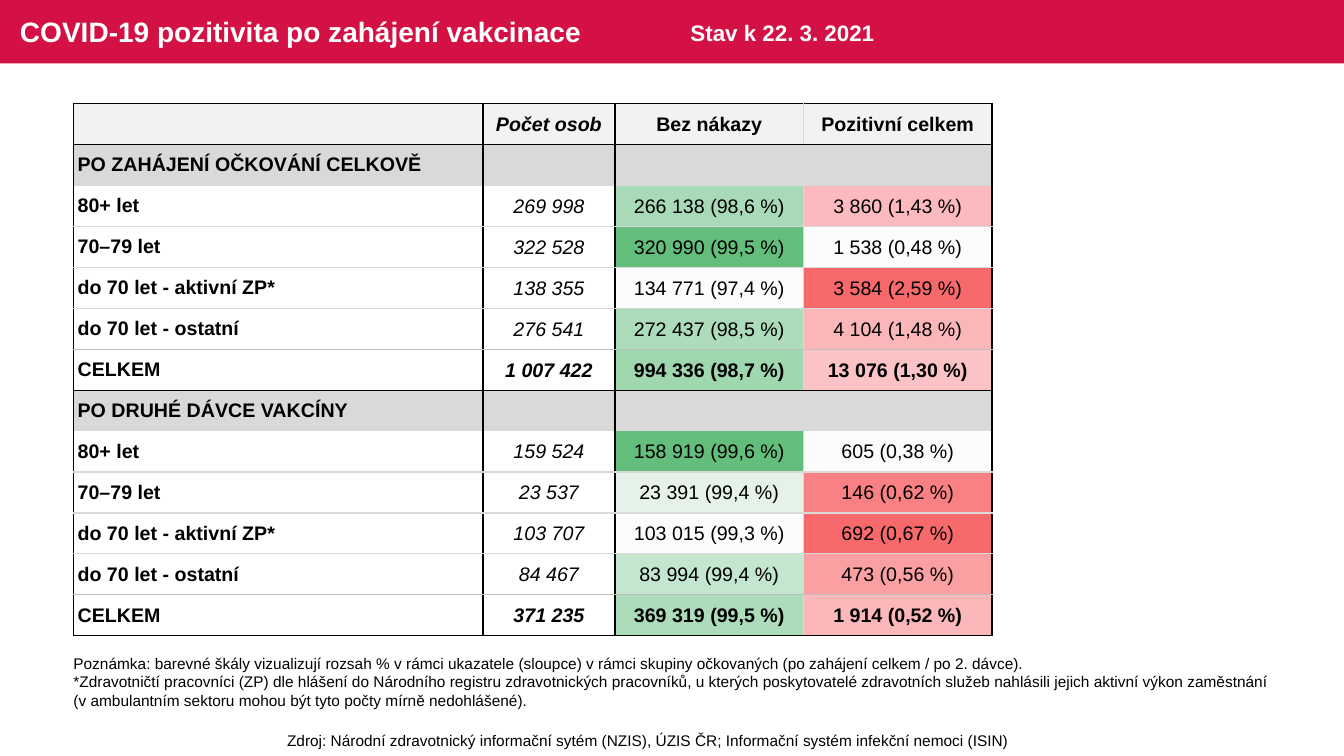
from lxml.etree import SubElement
from pptx import Presentation
from pptx.dml.color import RGBColor
from pptx.enum.shapes import MSO_SHAPE
from pptx.enum.text import MSO_ANCHOR, PP_ALIGN
from pptx.oxml.ns import qn
from pptx.util import Inches, Pt

FONT = "Arial"
CRIMSON = RGBColor(0xD3, 0x11, 0x45)
WHITE = RGBColor(0xFF, 0xFF, 0xFF)
BLACK = RGBColor(0x00, 0x00, 0x00)
HEADER_GRAY = RGBColor(0xF2, 0xF2, 0xF2)
LIGHT_GRAY = RGBColor(0xD9, 0xD9, 0xD9)
MIDDLE_GRAY = RGBColor(0xBF, 0xBF, 0xBF)

COLUMN_WIDTHS = [4.06, 1.31, 1.87, 1.87]
ROW_HEIGHT = 5.28 / 13

HEADER = ("", "Počet osob", "Bez nákazy", "Pozitivní celkem")
GROUP_LABELS = ("80+ let", "70–79 let", "do 70 let - aktivní ZP*", "do 70 let - ostatní", "CELKEM")
SECTIONS = {
    "PO ZAHÁJENÍ OČKOVÁNÍ CELKOVĚ": [
        ("269 998", "266 138 (98,6 %)", "3 860 (1,43 %)"),
        ("322 528", "320 990 (99,5 %)", "1 538 (0,48 %)"),
        ("138 355", "134 771 (97,4 %)", "3 584 (2,59 %)"),
        ("276 541", "272 437 (98,5 %)", "4 104 (1,48 %)"),
        ("1 007 422", "994 336 (98,7 %)", "13 076 (1,30 %)"),
    ],
    "PO DRUHÉ DÁVCE VAKCÍNY": [
        ("159 524", "158 919 (99,6 %)", "605 (0,38 %)"),
        ("23 537", "23 391 (99,4 %)", "146 (0,62 %)"),
        ("103 707", "103 015 (99,3 %)", "692 (0,67 %)"),
        ("84 467", "83 994 (99,4 %)", "473 (0,56 %)"),
        ("371 235", "369 319 (99,5 %)", "1 914 (0,52 %)"),
    ],
}
HEAT_SCALE = [
    ("A8DAB7", "FBBABD"),
    ("63BE7B", "FCFCFF"),
    ("FCFCFF", "F8696B"),
    ("ACDCBA", "FBB6B9"),
    ("9FD7AF", "FBC3C6"),
    (None, None),
    ("63BE7B", "FCFCFF"),
    ("E4F2EA", "F98184"),
    ("FCFCFF", "F8696B"),
    ("C4E5CE", "FAA0A3"),
    ("ACDCBA", "FBB7B9"),
]
NOTES = [
    "Poznámka: barevné škály vizualizují rozsah % v rámci ukazatele (sloupce) v rámci skupiny "
    "očkovaných (po zahájení celkem / po 2. dávce).",
    "*Zdravotničtí pracovníci (ZP) dle hlášení do Národního registru zdravotnických pracovníků, "
    "u kterých poskytovatelé zdravotních služeb nahlásili jejich aktivní výkon zaměstnání "
    "(v ambulantním sektoru mohou být tyto počty mírně nedohlášené).",
]
SOURCE = ("Zdroj: Národní zdravotnický informační sytém (NZIS), ÚZIS ČR; "
          "Informační systém infekční nemoci (ISIN)")


def style_span(span, size, color, bold=False, italic=False):
    span.font.name = FONT
    span.font.size = Pt(size)
    span.font.color.rgb = color
    span.font.bold = bold
    span.font.italic = italic


def add_text(page, left, top, width, height, lines, size, color=BLACK, bold=False,
             align=PP_ALIGN.LEFT, anchor=MSO_ANCHOR.TOP):
    box = page.shapes.add_textbox(Inches(left), Inches(top), Inches(width), Inches(height))
    frame = box.text_frame
    frame.word_wrap = True
    frame.vertical_anchor = anchor
    frame.text = "\n".join(lines)
    for para in frame.paragraphs:
        para.alignment = align
        for span in para.runs:
            style_span(span, size, color, bold)


def add_banner(page, left, top, width, height):
    band = page.shapes.add_shape(MSO_SHAPE.RECTANGLE, Inches(left), Inches(top),
                                 Inches(width), Inches(height))
    band.shadow.inherit = False
    band.fill.solid()
    band.fill.fore_color.rgb = CRIMSON
    band.line.fill.background()
    add_text(page, left + 0.1, top, 8.13, height, ["COVID-19 pozitivita po zahájení vakcinace"],
             20, WHITE, True, anchor=MSO_ANCHOR.MIDDLE)
    add_text(page, left + 6.57, top + 0.14, 2.38, 0.37, ["Stav k 22. 3. 2021"],
             16, WHITE, True, PP_ALIGN.CENTER)


def set_borders(cell, left, right, top, bottom):
    properties = cell._tc.get_or_add_tcPr()
    for tag, color in (("a:lnL", left), ("a:lnR", right), ("a:lnT", top), ("a:lnB", bottom)):
        line = SubElement(properties, qn(tag), w=str(Pt(1)))
        if color is None:
            SubElement(line, qn("a:noFill"))
        else:
            fill = SubElement(line, qn("a:solidFill"))
            SubElement(fill, qn("a:srgbClr"), val=str(color))


def fill_cell(cell, color):
    if color is None:
        cell.fill.background()
    else:
        cell.fill.solid()
        cell.fill.fore_color.rgb = color


def add_grid(page, left, top, row_count, widths):
    frame = page.shapes.add_table(row_count, len(widths), Inches(left), Inches(top),
                                  Inches(sum(widths)), Inches(row_count * ROW_HEIGHT))
    grid = frame.table
    grid.first_row = False
    grid.horz_banding = False
    for column, width in zip(grid.columns, widths):
        column.width = Inches(width)
    for row in grid.rows:
        row.height = Inches(ROW_HEIGHT)
    return grid


def add_heat_scale(page, left, top):
    grid = add_grid(page, left, top, len(HEAT_SCALE), COLUMN_WIDTHS[2:])
    for row, colors in zip(grid.rows, HEAT_SCALE):
        for cell, color in zip(row.cells, colors):
            cell.margin_top = cell.margin_bottom = 0
            set_borders(cell, None, None, None, None)
            fill_cell(cell, RGBColor.from_string(color) if color else None)


def table_rows():
    rows = [("header", HEADER, HEADER_GRAY, BLACK)]
    for title, values in SECTIONS.items():
        rows.append(("section", (title, "", "", ""), LIGHT_GRAY, None))
        lines_below = [LIGHT_GRAY] * 3 + [MIDDLE_GRAY, BLACK]
        for label, numbers, line in zip(GROUP_LABELS, values, lines_below):
            kind = "total" if label == "CELKEM" else "group"
            rows.append((kind, (label, *numbers), None, line))
    return rows


def add_results_table(page, left, top):
    rows = table_rows()
    grid = add_grid(page, left, top, len(rows), COLUMN_WIDTHS)
    line_above = BLACK
    for row, (kind, texts, background, line_below) in zip(grid.rows, rows):
        for index, (cell, text) in enumerate(zip(row.cells, texts)):
            is_number = index > 0 and kind in ("group", "total")
            cell.margin_left = cell.margin_right = Inches(0.01 if is_number else 0.04)
            cell.margin_top = Inches(0.01 if is_number else 0)
            cell.margin_bottom = 0
            cell.vertical_anchor = MSO_ANCHOR.MIDDLE
            set_borders(cell, LIGHT_GRAY if index == 3 else BLACK,
                        LIGHT_GRAY if index == 2 else BLACK, line_above, line_below)
            fill_cell(cell, background)
            if text:
                cell.text_frame.text = text
                para = cell.text_frame.paragraphs[0]
                para.alignment = PP_ALIGN.CENTER if index else PP_ALIGN.LEFT
                style_span(para.runs[0], 14, BLACK, index == 0 or kind != "group", index == 1)
        line_above = line_below


def add_footer(page, left, top):
    add_text(page, left, top, 12.07, 0.66, NOTES, 11)
    add_text(page, left + 1.27, top + 0.76, 9.06, 0.29, [SOURCE], 11, align=PP_ALIGN.CENTER)


def main():
    deck = Presentation()
    deck.slide_width = Inches(13.33)
    deck.slide_height = Inches(7.5)
    page = deck.slides.add_slide(deck.slide_layouts[6])
    add_banner(page, 0, 0, 13.33, 0.63)
    add_heat_scale(page, 0.73 + sum(COLUMN_WIDTHS[:2]), 1.03 + 2 * ROW_HEIGHT)
    add_results_table(page, 0.73, 1.03)
    add_footer(page, 0.63, 6.44)
    deck.save("out.pptx")


if __name__ == "__main__":
    main()
